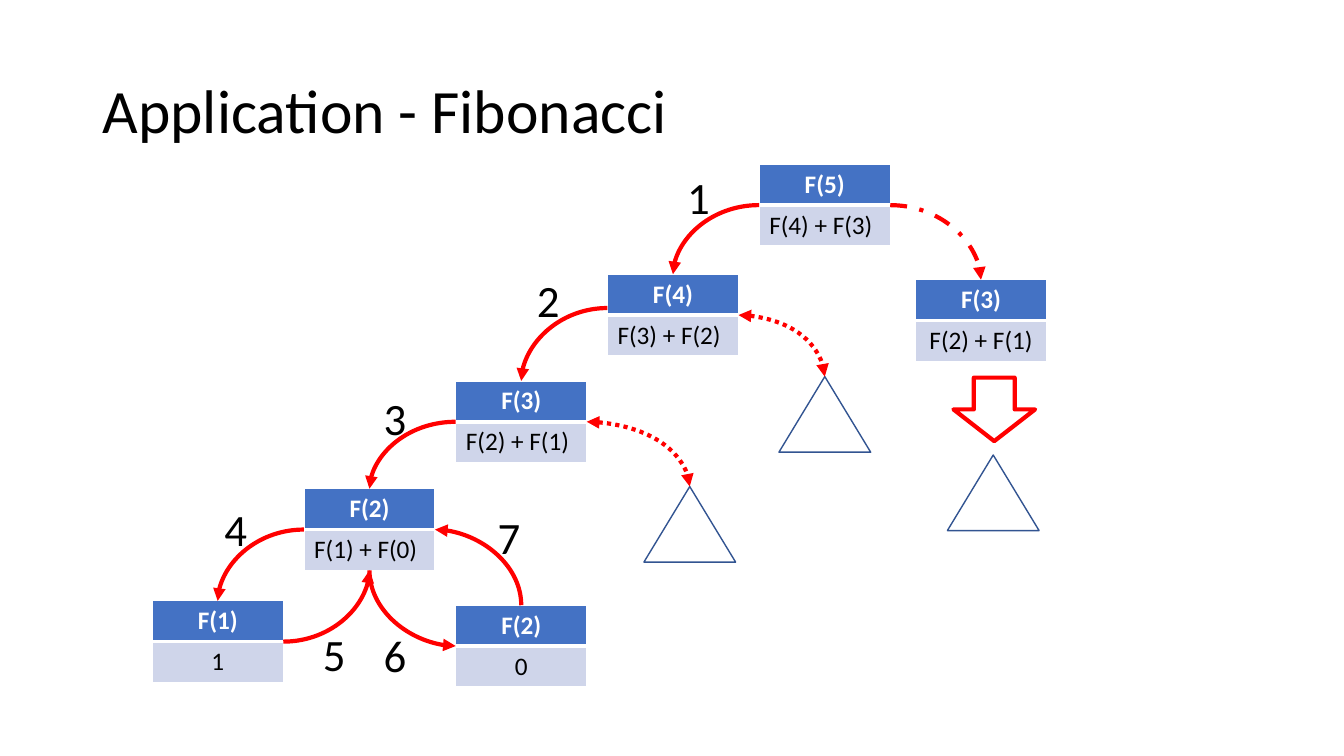
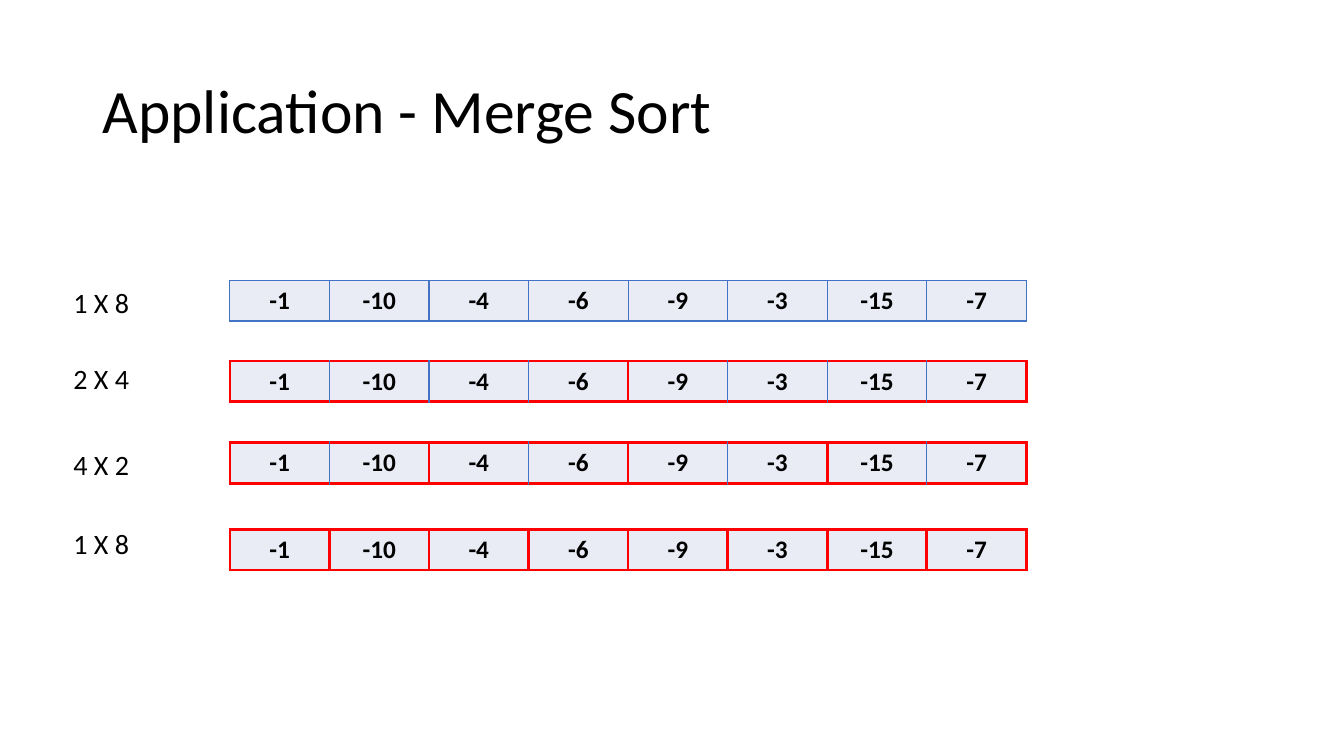
from dataclasses import dataclass
from typing import Optional

from pptx import Presentation
from pptx import util as u
from pptx.dml.color import RGBColor
from pptx.enum import dml, shapes, text
from pptx.oxml.ns import qn
from pptx.oxml.xmlchemy import OxmlElement

Point = tuple[float, float]
Border = tuple[str, float]


# Shared look
@dataclass(frozen=True)
class Theme:
    font: str = "Calibri"
    ink: str = "000000"
    paper: str = "FFFFFF"
    blue: str = "4472C4"
    pale_blue: str = "CFD5EA"
    paler_blue: str = "E9EBF5"
    outline: str = "325491"
    red: str = "FF0000"
    title_size: int = 44
    step_size: int = 32
    label_size: int = 20
    cell_size: int = 18


THEME = Theme()
SLIDE_WIDTH, SLIDE_HEIGHT = 13.33, 7.5


# Grids: places are given in columns and rows
@dataclass(frozen=True)
class Grid:
    left: float
    top: float
    column: float
    row: float

    def at(self, column: float, row: float) -> Point:
        return self.left + column * self.column, self.top + row * self.row


TREE = Grid(1.51, 1.63, 1.505, 1.08)
ARRAY = Grid(2.28, 2.78, 0.9875, 0.81)
CARD_WIDTH, ROW_HEIGHT = 1.3, 0.405
TRIANGLE_SIZE = (0.91, 0.75)
ARROW_SIZE = (0.81, 0.63)


@dataclass(frozen=True)
class Card:
    column: float
    row: float
    call: str
    body: str
    centred: bool = False

    @property
    def corner(self) -> Point:
        return TREE.at(self.column, self.row)

    def anchor(self, side: str) -> Point:
        across, down = {"left": (0, 1), "right": (CARD_WIDTH, 1),
                        "top": (CARD_WIDTH / 2, 0),
                        "bottom": (CARD_WIDTH / 2, 2)}[side]
        left, top = self.corner
        return left + across, top + down * ROW_HEIGHT


@dataclass(frozen=True)
class Subtree:
    column: float
    row: float

    @property
    def peak(self) -> Point:
        left, top = TREE.at(self.column, self.row)
        return left + TRIANGLE_SIZE[0] / 2, top


@dataclass(frozen=True)
class Curve:
    """Leaves its start sideways and meets its end vertically."""
    start: Point
    end: Point
    heads: tuple[str, ...] = ("tailEnd",)
    dash: Optional[dml.MSO_LINE] = None


@dataclass(frozen=True)
class Label:
    column: float
    row: float
    wording: str


@dataclass(frozen=True)
class MergeStep:
    label: str
    row: float
    label_row: float
    group: int  # cells in one red frame, 0 for none


# Drawing functions
def colour(value: str) -> RGBColor:
    return RGBColor.from_string(value)


def write(frame, wording: str, size: int, ink: str = THEME.ink,
          bold: bool = False, centred: bool = False) -> None:
    frame.text = wording
    paragraph = frame.paragraphs[0]
    paragraph.alignment = text.PP_ALIGN.CENTER if centred else text.PP_ALIGN.LEFT
    font = paragraph.runs[0].font
    font.name, font.size, font.bold = THEME.font, u.Pt(size), bold
    font.color.rgb = colour(ink)


def add_title(slide, wording: str) -> None:
    box = slide.shapes.add_textbox(*map(u.Inches, (0.92, 0.4, 11.5, 1.45)))
    frame = box.text_frame
    frame.word_wrap = True
    frame.vertical_anchor = text.MSO_ANCHOR.MIDDLE
    write(frame, wording, THEME.title_size)
    frame.paragraphs[0].line_spacing = 0.9


def add_label(slide, grid: Grid, label: Label, size: int,
              extent: Point) -> None:
    place = grid.at(label.column, label.row) + extent
    frame = slide.shapes.add_textbox(*map(u.Inches, place)).text_frame
    frame.word_wrap = False
    frame.auto_size = text.MSO_AUTO_SIZE.SHAPE_TO_FIT_TEXT
    write(frame, label.wording, size)


def add_table(slide, corner: Point, rows: int, columns: int, width: float):
    table = slide.shapes.add_table(
        rows, columns, *map(u.Inches, corner + (width, rows * ROW_HEIGHT))).table
    table.first_row = table.horz_banding = False
    return table


def style_cell(cell, fill: str, left: Border, right: Border,
               top: Border, bottom: Border) -> None:
    properties = cell._tc.get_or_add_tcPr()
    for tag, (ink, width) in zip(("lnL", "lnR", "lnT", "lnB"),
                                 (left, right, top, bottom)):
        line = OxmlElement(f"a:{tag}")
        line.set("w", str(u.Pt(width)))
        solid = OxmlElement("a:solidFill")
        value = OxmlElement("a:srgbClr")
        value.set("val", ink)
        solid.append(value)
        line.append(solid)
        properties.append(line)
    cell.fill.solid()
    cell.fill.fore_color.rgb = colour(fill)


def add_card(slide, card: Card) -> None:
    table = add_table(slide, card.corner, 2, 1, CARD_WIDTH)
    thin, thick = (THEME.paper, 1), (THEME.paper, 3)
    head, body = table.cell(0, 0), table.cell(1, 0)
    style_cell(head, THEME.blue, thin, thin, thin, thick)
    style_cell(body, THEME.pale_blue, thin, thin, thick, thin)
    write(head.text_frame, card.call, THEME.cell_size, THEME.paper, True, True)
    write(body.text_frame, card.body, THEME.cell_size, centred=card.centred)
    for cell in (head, body):
        cell.vertical_anchor = text.MSO_ANCHOR.MIDDLE


def add_curve(slide, curve: Curve) -> None:
    connector = slide.shapes.add_connector(
        shapes.MSO_CONNECTOR.CURVE, *map(u.Inches, curve.start + curve.end))
    line = connector.line
    line.color.rgb = colour(THEME.red)
    line.width = u.Pt(3)
    if curve.dash is not None:
        line.dash_style = curve.dash
    for end in curve.heads:
        head = OxmlElement(f"a:{end}")
        head.set("type", "triangle")
        line._get_or_add_ln().append(head)
    properties = connector._element.spPr
    properties.find(qn("a:prstGeom")).set("prst", "curvedConnector2")
    properties.append(OxmlElement("a:effectLst"))


def add_outline(slide, kind: shapes.MSO_SHAPE, corner: Point, extent: Point,
                ink: str, width: float) -> None:
    shape = slide.shapes.add_shape(kind, *map(u.Inches, corner + extent))
    shape.shadow.inherit = False
    shape.fill.background()
    shape.line.color.rgb = colour(ink)
    shape.line.width = u.Pt(width)


def add_merge_step(slide, step: MergeStep, values: list[int]) -> None:
    count = len(values)
    table = add_table(slide, ARRAY.at(0, step.row), 1, count,
                      count * ARRAY.column)
    plain, framed = (THEME.blue, 1), (THEME.red, 2.25)
    edge = framed if step.group else plain
    sides = [framed if step.group and index % step.group == 0 else plain
             for index in range(count + 1)]
    for index, value in enumerate(values):
        cell = table.cell(0, index)
        style_cell(cell, THEME.paler_blue, sides[index], sides[index + 1],
                   edge, edge)
        write(cell.text_frame, str(value), THEME.cell_size,
              bold=True, centred=True)
    add_label(slide, ARRAY, Label(-1.67, step.label_row, step.label),
              THEME.label_size, (0.83, 0.44))


# Slide 1: the call tree
def build_fibonacci(slide) -> None:
    add_title(slide, "Application - Fibonacci")
    five = Card(4, 0, "F(5)", "F(4) + F(3)")
    four = Card(3, 1.01, "F(4)", "F(3) + F(2)")
    three = Card(2, 1.99, "F(3)", "F(2) + F(1)")
    two = Card(1, 2.98, "F(2)", "F(1) + F(0)")
    one = Card(0, 4.01, "F(1)", "1", True)
    zero = Card(2, 4.05, "F(2)", "0", True)
    right_three = Card(5.03, 1.06, "F(3)", "F(2) + F(1)", True)
    for card in (five, four, right_three, three, two, one, zero):
        add_card(slide, card)

    under_four, under_three = Subtree(4.13, 1.95), Subtree(3.24, 2.96)
    for subtree in (Subtree(5.24, 2.67), under_four, under_three):
        add_outline(slide, shapes.MSO_SHAPE.ISOSCELES_TRIANGLE,
                    TREE.at(subtree.column, subtree.row), TRIANGLE_SIZE,
                    THEME.outline, 1)
    add_outline(slide, shapes.MSO_SHAPE.DOWN_ARROW, TREE.at(5.28, 1.96),
                ARROW_SIZE, THEME.red, 3)

    four_left, four_top = four.anchor("left")
    back, both = ("headEnd",), ("headEnd", "tailEnd")
    dots = dml.MSO_LINE.ROUND_DOT
    for curve in (
        Curve(five.anchor("left"), four.anchor("top")),
        Curve((four_left, four_top - 0.07), three.anchor("top")),
        Curve(three.anchor("left"), two.anchor("top")),
        Curve(two.anchor("left"), one.anchor("top")),
        Curve(one.anchor("right"), two.anchor("bottom")),
        Curve(zero.anchor("left"), two.anchor("bottom"), back),
        Curve(two.anchor("right"), zero.anchor("top"), back),
        Curve(five.anchor("right"), right_three.anchor("top"),
              dash=dml.MSO_LINE.DASH_DOT),
        Curve(three.anchor("right"), under_three.peak, both, dots),
        Curve(four.anchor("right"), under_four.peak, both, dots),
    ):
        add_curve(slide, curve)

    step_places = [(3.46, 0), (2.47, 0.95), (1.46, 2.03), (0.41, 3.05),
                   (1.06, 4.2), (1.46, 4.21), (2.21, 3.13)]
    for number, place in enumerate(step_places, start=1):
        add_label(slide, TREE, Label(*place, str(number)), THEME.step_size,
                  (0.38, 0.64))


# Slide 2: the array, split further at each step
def build_merge_sort(slide) -> None:
    add_title(slide, "Application - Merge Sort")
    values = [-1, -10, -4, -6, -9, -3, -15, -7]
    for step in (MergeStep("1 X 8", 0, 0, 0),
                 MergeStep("2 X 4", 0.99, 0.93, 4),
                 MergeStep("4 X 2", 1.99, 1.99, 2),
                 MergeStep("1 X 8", 3.05, 2.95, 1)):
        add_merge_step(slide, step, values)


presentation = Presentation()
presentation.slide_width = u.Inches(SLIDE_WIDTH)
presentation.slide_height = u.Inches(SLIDE_HEIGHT)
for build in (build_fibonacci, build_merge_sort):
    build(presentation.slides.add_slide(presentation.slide_layouts[6]))
presentation.save("out.pptx")
